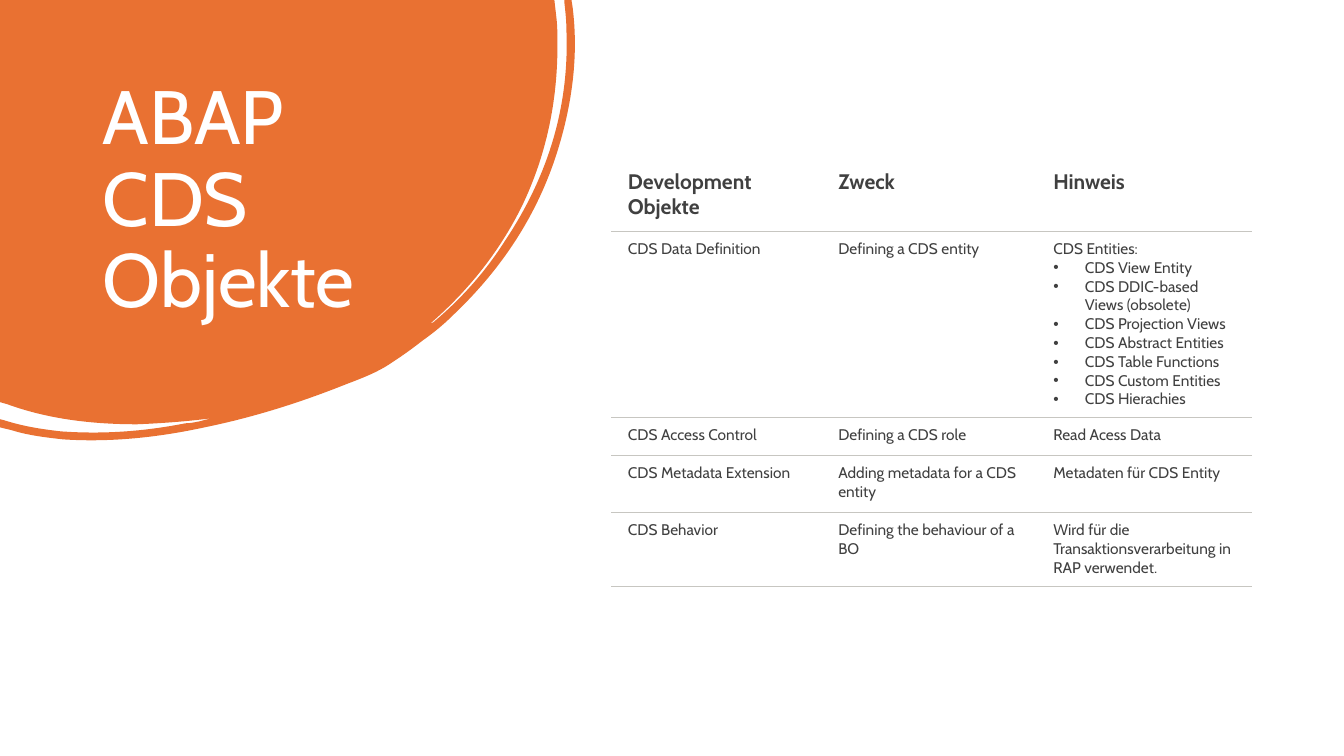
from dataclasses import dataclass

from lxml.etree import SubElement
from pptx import Presentation
from pptx.dml.color import RGBColor
from pptx.enum.text import MSO_ANCHOR as Anchor, MSO_AUTO_SIZE as AutoSize, PP_ALIGN as Align
from pptx.oxml.ns import qn
from pptx.util import Pt

FONT = "Cabin"
ORANGE, WHITE, DARK, RULE = "E97132", "FFFFFF", "404040", "C7C6C1"
NO_STYLE = "{2D5ABB26-0587-4C30-8999-92F81FD0307C}"
INSETS = dict(margin_left=Pt(12), margin_top=Pt(6), margin_right=Pt(9.5), margin_bottom=Pt(6))
BULLET_INDENT = Pt(22.5)


@dataclass
class Row:
    height: float
    cells: tuple[str, str, str]
    bullets: tuple[str, ...] = ()  # listed below the text of the last cell
    size: float = 11
    bold: bool = False


COLUMNS = (150.3, 153.6, 153.6)
ROWS = (
    Row(50.4, ("Development Objekte", "Zweck", "Hinweis"), size=15, bold=True),
    Row(132.5, ("CDS Data Definition", "Defining a CDS entity", "CDS Entities:"),
        ("CDS View Entity", "CDS DDIC-based Views (obsolete)", "CDS Projection Views",
         "CDS Abstract Entities", "CDS Table Functions", "CDS Custom Entities",
         "CDS Hierachies")),
    Row(27.2, ("CDS Access Control", "Defining a CDS role", "Read Acess Data")),
    Row(40.6, ("CDS Metadata Extension", "Adding metadata for a CDS entity",
               "Metadaten für CDS Entity")),
    Row(53, ("CDS Behavior", "Defining the behaviour of a BO",
             "Wird für die Transaktionsverarbeitung in RAP verwendet.")),
)

# Outline from the top left corner: two numbers make a line, six a Bézier curve
BLOB_SIZE = (411, 314.6)
BLOB = (
    (396, 0), (397.4, 12.2),
    (398.2, 18.7, 398.2, 25.9, 398.2, 32.4),
    (398.2, 72.7, 390.2, 110.9, 373, 146.9),
    (357.1, 179.3, 334.8, 207.4, 307.4, 231.1),
    (308.9, 231.1, 310.3, 229.7, 311, 229),
    (330.5, 212.4, 347, 193.7, 360.7, 172.1),
    (391, 126.7, 406.8, 77, 404.6, 21.6),
    (404.6, 15.1, 403.9, 8.6, 403.2, 2.2),
    (403.2, 0), (408.2, 0), (409, 5),
    (413.3, 38.9, 409, 73.4, 398.2, 108),
    (383.8, 154.1, 357.8, 193, 322.6, 226.1),
    (316.1, 232.6, 308.9, 238.3, 301.7, 243.4),
    (294.5, 249.1, 287.3, 254.2, 278.6, 259.9),
    (270, 265.7, 259.2, 270, 247.7, 274.3),
    (215.3, 287.3, 181.4, 298.1, 146.2, 305.3),
    (113, 312.5, 79.2, 316.1, 45.4, 313.9),
    (32.4, 312.5, 20.2, 311, 8.6, 307.4),
    (0, 305.3), (0, 299.5), (2.9, 300.2),
    (16.6, 304.6, 30.2, 306.7, 43.9, 308.2),
    (74.2, 310.3, 103, 308.2, 132.5, 302.4),
    (136.1, 302.4, 139, 301.7, 142.6, 301),
    (145.4, 300.2, 148.3, 299.5, 151.2, 298.8),
    (133.9, 301, 115.9, 302.4, 97.9, 303.1),
    (66.2, 303.1, 34.6, 299.5, 5, 288.7),
    (0, 287.3),
)


def rgb(value: str) -> RGBColor:
    return RGBColor.from_string(value)


def set_all(target, formats: dict) -> None:
    for name, value in formats.items():
        setattr(target, name, value)


def add_run(p, text: str, size: float, color: str, bold: bool = False) -> None:
    r = p.add_run()
    r.text = text
    set_all(r.font, dict(name=FONT, size=Pt(size), bold=bold))
    r.font.color.rgb = rgb(color)


def bend_segments(sp, outline: tuple) -> None:
    """Give the line segments that have control points their curve."""
    segments = list(sp._element.iter(qn("a:lnTo")))
    for segment, part in zip(segments, outline):
        if len(part) == 6:
            segment.tag = qn("a:cubicBezTo")
            for child in list(segment):
                segment.remove(child)
            for x, y in zip(part[::2], part[1::2]):
                SubElement(segment, qn("a:pt"), x=str(Pt(x)), y=str(Pt(y)))


def add_blob(s) -> None:
    builder = s.shapes.build_freeform(0, 0)
    builder.add_line_segments([(Pt(part[-2]), Pt(part[-1])) for part in BLOB], close=True)
    sp = builder.convert_to_shape()
    bend_segments(sp, BLOB)
    # The curves bulge past their end points, so the frame is set to hold them
    width, height = (Pt(length) for length in BLOB_SIZE)
    set_all(sp, dict(width=width, height=height))
    outline = next(sp._element.iter(qn("a:path")))
    outline.set("w", str(width))
    outline.set("h", str(height))
    sp.shadow.inherit = False
    sp.fill.solid()
    sp.fill.fore_color.rgb = rgb(ORANGE)
    sp.line.fill.background()
    s.shapes._spTree.insert(2, sp._element)  # behind the title


def add_title(s, text: str) -> None:
    sp = s.shapes.title
    set_all(sp, dict(left=Pt(66), top=Pt(53), width=Pt(253.5), height=Pt(160)))
    tf = sp.text_frame
    set_all(tf, dict(word_wrap=True, auto_size=AutoSize.NONE, vertical_anchor=Anchor.TOP))
    p = tf.paragraphs[0]
    set_all(p, dict(alignment=Align.LEFT, line_spacing=0.9))
    add_run(p, text, 54, WHITE)


def add_bullet(p) -> None:
    pPr = p._p.get_or_add_pPr()
    pPr.set("marL", str(BULLET_INDENT))
    pPr.set("indent", str(-BULLET_INDENT))
    SubElement(pPr, qn("a:buFont"), typeface="Arial")
    SubElement(pPr, qn("a:buChar"), char="•")


def add_bottom_rule(cell) -> None:
    ln = SubElement(cell._tc.get_or_add_tcPr(), qn("a:lnB"), w=str(Pt(0.75)))
    SubElement(SubElement(ln, qn("a:solidFill")), qn("a:srgbClr"), val=RULE)


def fill_cell(cell, text: str, bullets: tuple[str, ...], row: Row) -> None:
    set_all(cell, INSETS)
    add_bottom_rule(cell)
    cell.fill.background()
    tf = cell.text_frame
    add_run(tf.paragraphs[0], text, row.size, DARK, row.bold)
    for item in bullets:
        p = tf.add_paragraph()
        add_bullet(p)
        add_run(p, item, row.size, DARK, row.bold)


def add_object_table(s) -> None:
    frame = s.shapes.add_table(len(ROWS), len(COLUMNS), Pt(436.5), Pt(114.7),
                               Pt(sum(COLUMNS)), Pt(sum(row.height for row in ROWS)))
    table = frame.table
    set_all(table, dict(first_row=False, horz_banding=False))
    table._tbl.tblPr.find(qn("a:tableStyleId")).text = NO_STYLE
    for column, width in zip(table.columns, COLUMNS):
        column.width = Pt(width)
    for i, row in enumerate(ROWS):
        table.rows[i].height = Pt(row.height)
        for j, text in enumerate(row.cells):
            bullets = row.bullets if j == len(COLUMNS) - 1 else ()
            fill_cell(table.cell(i, j), text, bullets, row)


def main() -> None:
    prs = Presentation()
    set_all(prs, dict(slide_width=Pt(960), slide_height=Pt(540)))
    s = prs.slides.add_slide(prs.slide_layouts[5])  # title only
    add_blob(s)
    add_title(s, "ABAP CDS Objekte")
    add_object_table(s)
    prs.save("out.pptx")


if __name__ == "__main__":
    main()
